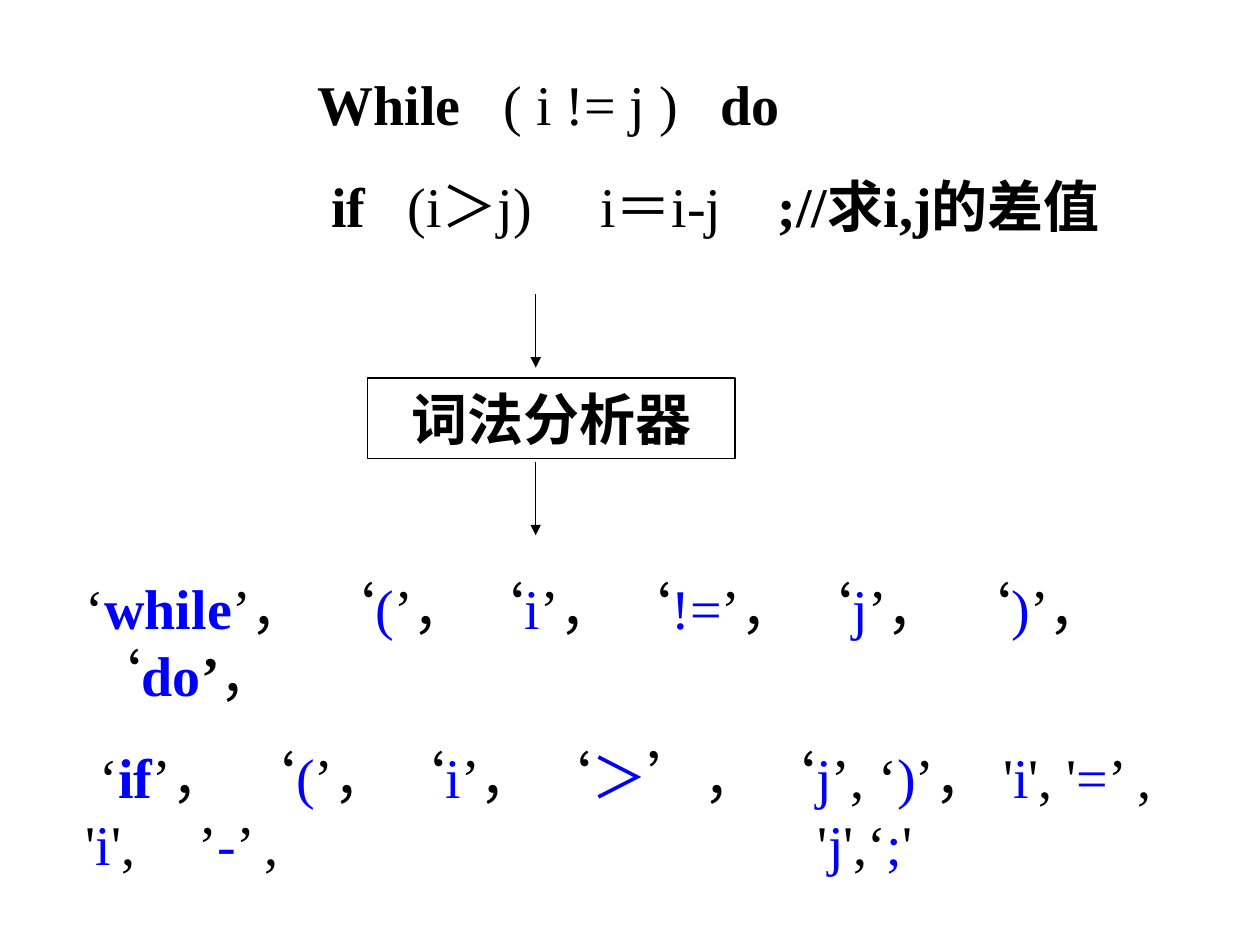
"""Build the lexical analyser slide: source code, analyser box and resulting tokens."""
from lxml import etree
from pptx import Presentation
from pptx.dml.color import RGBColor
from pptx.enum.shapes import MSO_CONNECTOR, MSO_SHAPE
from pptx.enum.text import MSO_ANCHOR, MSO_AUTO_SIZE, PP_ALIGN
from pptx.oxml.ns import qn
from pptx.util import Cm, Pt

RECTANGLE = MSO_SHAPE.RECTANGLE
STRAIGHT = MSO_CONNECTOR.STRAIGHT
TOP = MSO_ANCHOR.TOP
GROW = MSO_AUTO_SIZE.SHAPE_TO_FIT_TEXT
LEFT, CENTER = PP_ALIGN.LEFT, PP_ALIGN.CENTER
FONT = "Times New Roman"
COLORS = {"ink": "000000", "token": "0000FF", "paper": "FFFFFF"}
KEYWORDS = {"while", "do", "if"}


def color(name):
    return RGBColor.from_string(COLORS[name])


def write(box, lines, align=LEFT):
    frame = box.text_frame
    frame.word_wrap = True
    frame.auto_size = GROW
    frame.vertical_anchor = TOP
    for index, (stops, runs) in enumerate(lines):
        para = frame.add_paragraph() if index else frame.paragraphs[0]
        para.alignment = align
        para.space_before = Pt(20 if index else 0)
        if stops:
            tabs = etree.SubElement(para._p.get_or_add_pPr(), qn("a:tabLst"))
            for stop in stops:
                etree.SubElement(tabs, qn("a:tab"), pos=str(Cm(stop)), algn="l")
        for text, ink, bold in runs:
            span = para.add_run()
            span.text = text
            span.font.name = FONT
            span.font.size = Pt(32)
            span.font.bold = bold
            span.font.color.rgb = color(ink)


deck = Presentation()
deck.slide_width, deck.slide_height = Cm(25.4), Cm(19.05)
page = deck.slides.add_slide(deck.slide_layouts[6])

code = page.shapes.add_shape(RECTANGLE, Cm(6.15), Cm(1.27), Cm(17.35), Cm(3.68))
code.line.fill.background()
group = page.shapes.add_group_shape()
analyser = group.shapes.add_shape(RECTANGLE, Cm(7.41), Cm(7.62), Cm(7.41), Cm(1.63))
analyser.line.color.rgb = color("ink")
analyser.line.width = Pt(0.75)
for box in (code, analyser):
    box.shadow.inherit = False
    box.fill.solid()
    box.fill.fore_color.rgb = color("paper")

write(code, [
    ((3.75, 8.12), [("While", "ink", True), ("\t( i != j )\t", "ink", False), ("do", "ink", True)]),
    ((1.82, 5.7, 9.28), [
        (" if", "ink", True),
        ("\t(i＞j)\ti＝i-j\t", "ink", False),
        (";//求i,j的差值", "ink", True),
    ]),
])
write(analyser, [((), [("词法分析器", "ink", True)])], CENTER)

for top in (5.93, 9.31):
    arrow = group.shapes.add_connector(STRAIGHT, Cm(10.8), Cm(top), Cm(10.8), Cm(top + 1.48))
    arrow.line.color.rgb = color("ink")
    arrow.line.width = Pt(0.75)
    etree.SubElement(arrow.line._get_or_add_ln(), qn("a:tailEnd"), type="triangle")
    etree.SubElement(arrow._element.spPr, qn("a:effectLst"))

token_rows = [
    ["‘", "while", "’， ‘", "(", "’，‘", "i", "’，‘", "!=", "’，‘", "j", "’， ‘", ")", "’， ‘", "do"],
    [" ‘", "if", "’， ‘", "(", "’，‘", "i", "’，‘", "＞", "’，‘", "j", "’, ‘", ")", "’， '", "i",
     "', '", "=", "’ ,\t'", "i", "',\t’", "-", "’ ,\t'", "j", "',‘", ";", "'"],
]
first_row, second_row = [
    [(text, ("ink", "token")[index % 2], text in KEYWORDS) for index, text in enumerate(row)]
    for row in token_rows
]
first_row += [("’", "ink", True), ("，", "ink", False)]
tokens = page.shapes.add_textbox(Cm(1.48), Cm(11.43), Cm(22.86), Cm(8.47))
write(tokens, [((), first_row), ((2.28, 3.88, 14.76), second_row)])

deck.save("out.pptx")
